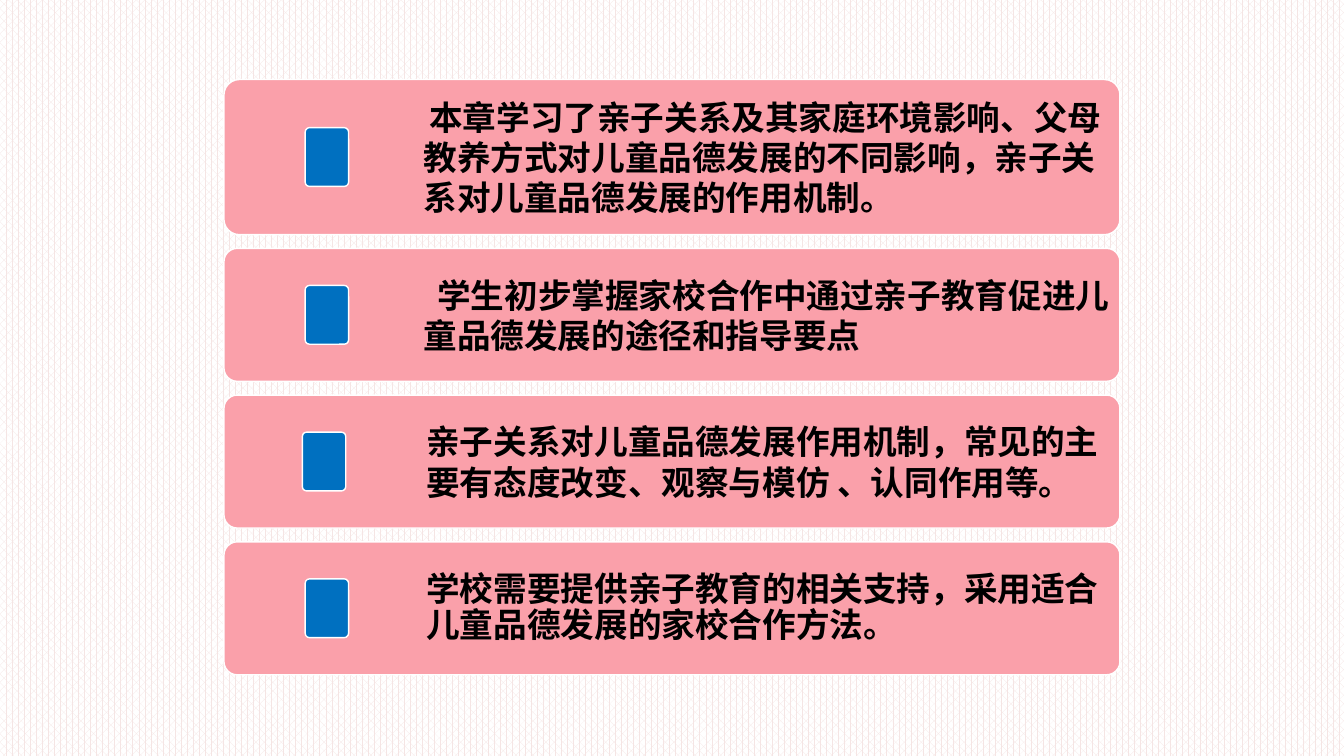
"""Builds a chapter summary slide with four stacked cards."""
from pptx import Presentation
from pptx.dml.color import RGBColor
from pptx.enum.dml import MSO_PATTERN
from pptx.enum.shapes import MSO_SHAPE
from pptx.enum.text import MSO_ANCHOR, PP_ALIGN
from pptx.util import Pt

PINK = RGBColor(0xFA, 0xA0, 0xAA)
BLUE = RGBColor(0x00, 0x70, 0xC0)
BLUSH = RGBColor(0xF5, 0xE5, 0xE4)
WHITE = RGBColor(0xFF, 0xFF, 0xFF)
BLACK = RGBColor(0x00, 0x00, 0x00)

CARD_LEFT, CARD_WIDTH, CARD_GAP = 160, 640, 9.8
FIRST_TOP = 56.8
TEXT_LEFT = 297.5
MARKER_WIDTH, MARKER_HEIGHT = 31, 42


class SummarySlide:
    def __init__(self, slide, font="Quicksand", size=24):
        self.slide = slide
        self.font = font
        self.size = size

    def backdrop(self):
        fill = self.slide.background.fill
        fill.patterned()
        fill.pattern = MSO_PATTERN.PERCENT_60
        fill.fore_color.rgb = BLUSH
        fill.back_color.rgb = WHITE

    def panel(self, left, top, width, height, color):
        panel = self.slide.shapes.add_shape(
            MSO_SHAPE.ROUNDED_RECTANGLE, Pt(left), Pt(top), Pt(width), Pt(height))
        panel.adjustments[0] = 0.1
        panel.shadow.inherit = False
        panel.fill.solid()
        panel.fill.fore_color.rgb = color
        panel.line.color.rgb = WHITE
        panel.line.width = Pt(1)

    def statement(self, left, top, width, height, wording, inset, indent, spacing):
        box = self.slide.shapes.add_textbox(Pt(left), Pt(top), Pt(width), Pt(height))
        frame = box.text_frame
        frame.word_wrap = True
        frame.vertical_anchor = MSO_ANCHOR.MIDDLE
        frame.margin_left = frame.margin_right = Pt(inset)
        frame.margin_top = frame.margin_bottom = Pt(inset)
        frame.text = wording
        paragraph = frame.paragraphs[0]
        paragraph.alignment = PP_ALIGN.LEFT
        paragraph.line_spacing = spacing
        paragraph._p.get_or_add_pPr().set("indent", str(Pt(indent)))
        font = paragraph.runs[0].font
        font.name = self.font
        font.size = Pt(self.size)
        font.bold = True
        font.color.rgb = BLACK

    def card(self, top, height, marker_left, wording, inset, indent, spacing):
        self.panel(CARD_LEFT, top, CARD_WIDTH, height, PINK)
        text_width = CARD_LEFT + CARD_WIDTH - TEXT_LEFT
        self.statement(TEXT_LEFT, top, text_width, height,
                       wording, inset, indent, spacing)
        marker_top = top + (height - MARKER_HEIGHT) / 2
        self.panel(marker_left, marker_top, MARKER_WIDTH, MARKER_HEIGHT, BLUE)


CARDS = [
    (110.8, 218, "本章学习了亲子关系及其家庭环境影响、父母教养方式对儿童品德发展的不同影响，"
                 "亲子关系对儿童品德发展的作用机制。", 5, 4.2, 1.0),
    (95, 218, "学生初步掌握家校合作中通过亲子教育促进儿童品德发展的途径和指导要点",
     5, 9.8, 1.0),
    (95, 216, "亲子关系对儿童品德发展作用机制，常见的主要有态度改变、观察与模仿 、认同作用等。",
     7.2, 0, 1.0),
    (95, 218, "学校需要提供亲子教育的相关支持，采用适合儿童品德发展的家校合作方法。",
     7.2, 0, 0.9),
]

presentation = Presentation()
presentation.slide_width = Pt(960)
presentation.slide_height = Pt(540)
summary = SummarySlide(presentation.slides.add_slide(presentation.slide_layouts[6]))
summary.backdrop()
card_top = FIRST_TOP
for card_height, *details in CARDS:
    summary.card(card_top, card_height, *details)
    card_top += card_height + CARD_GAP
presentation.save("out.pptx")
